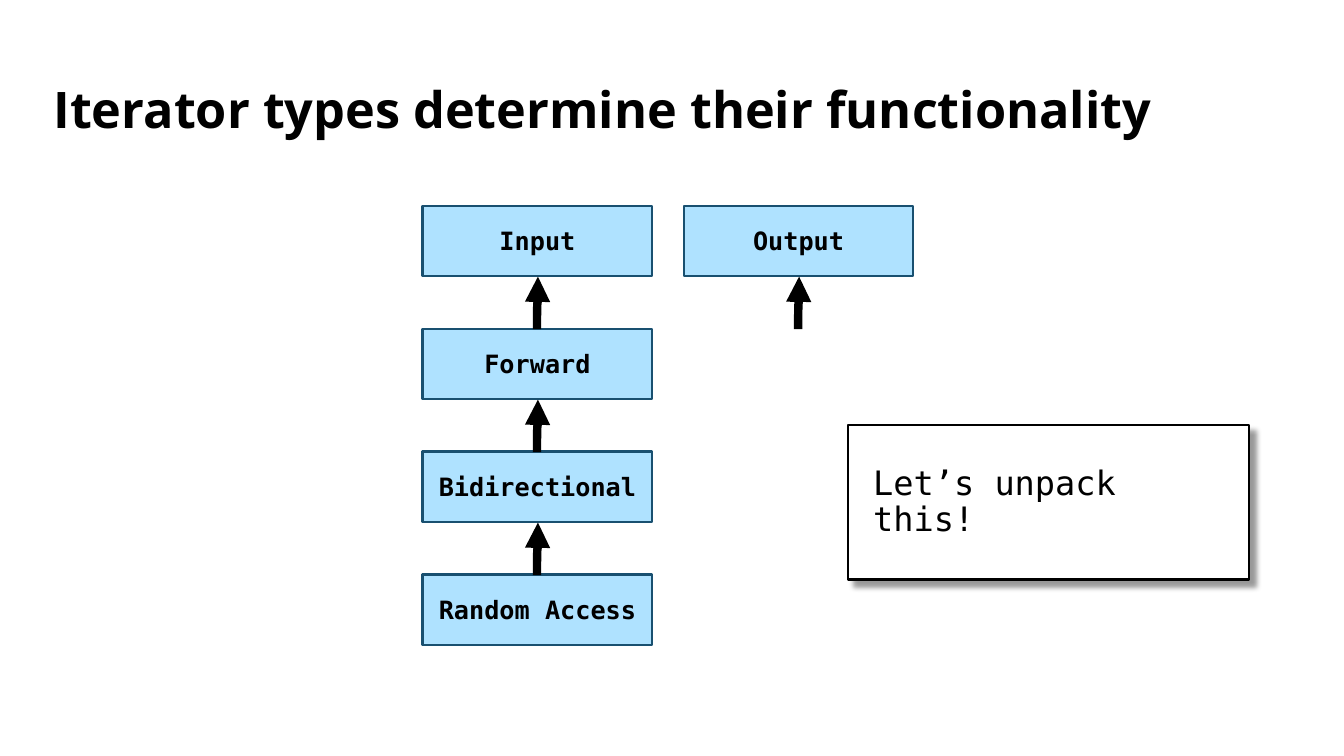
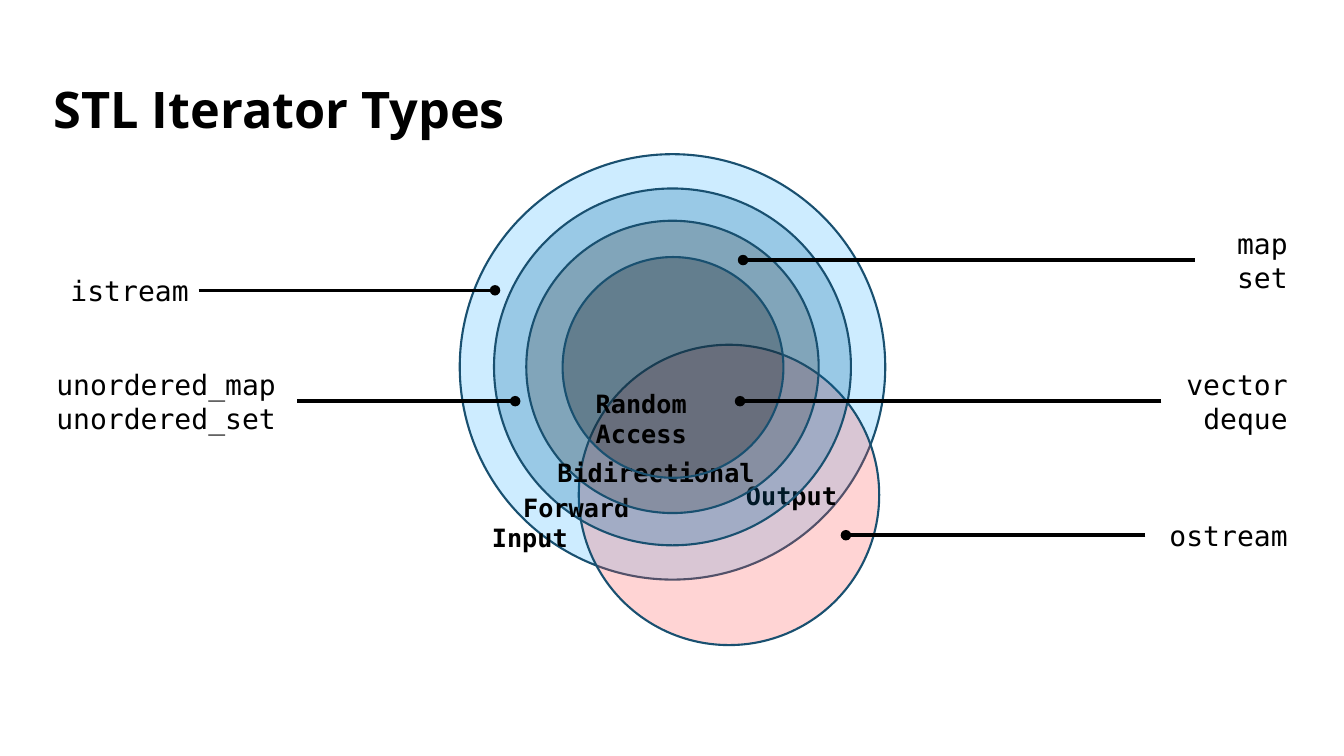
import dataclasses

import pptx
import pptx.dml.color
import pptx.enum.shapes
import pptx.enum.text
import pptx.oxml
import pptx.oxml.ns
import pptx.util

ALIGN = pptx.enum.text.PP_ALIGN
ANCHOR = pptx.enum.text.MSO_ANCHOR
SHAPE = pptx.enum.shapes.MSO_SHAPE
CONNECTOR = pptx.enum.shapes.MSO_CONNECTOR
EMU_PER_PX = 9144  # 100 px to the inch


@dataclasses.dataclass(frozen=True)
class Theme:
    title_font: str = "Open Sans"
    code_font: str = "DejaVu Sans Mono"
    title_size: int = 36
    note_size: int = 24
    callout_size: int = 20
    label_size: int = 18
    black: str = "000000"
    white: str = "FFFFFF"
    box_fill: str = "AFE2FF"
    outline: str = "195070"
    input_fill: str = "38B6FF"
    output_fill: str = "FF5757"
    forward_fill: str = "00629C"
    bidirectional_fill: str = "3A3A3A"
    random_fill: str = "0D0D0D"
    outline_width: float = 1.5
    callout_width: float = 2.5
    arrow_width: int = 6
    circle_opacity: int = 25


THEME = Theme()


def px(*lengths):
    return [pptx.util.Emu(length * EMU_PER_PX) for length in lengths]


def color(code):
    return pptx.dml.color.RGBColor.from_string(code)


def drawing_xml(markup):
    """Parse markup whose root element has the a: prefix."""
    tag, rest = markup[:-2].partition(" ")[::2]
    return pptx.oxml.parse_xml(f"{tag} {pptx.oxml.ns.nsdecls('a')} {rest}/>")


def write(shape, text, size, font=THEME.code_font, bold=False, align=ALIGN.LEFT,
          anchor=ANCHOR.TOP, spacing=None):
    frame = shape.text_frame
    frame.text = text
    frame.word_wrap = True
    frame.vertical_anchor = anchor
    for paragraph in frame.paragraphs:
        paragraph.alignment = align
        if spacing:
            paragraph.line_spacing = spacing
        for run in paragraph.runs:
            run.font.name = font
            run.font.size = pptx.util.Pt(size)
            run.font.bold = bold
            run.font.color.rgb = color(THEME.black)


def add_page(deck, title):
    page = deck.slides.add_slide(deck.slide_layouts.get_by_name("Title Only"))
    box = page.shapes.title
    box.left, box.top, box.width, box.height = px(43, 69, 1247, 84)
    write(box, title, THEME.title_size, THEME.title_font, bold=True,
          anchor=ANCHOR.MIDDLE, spacing=0.9)
    return page


def add_filled(shapes, kind, bounds, fill, outline=THEME.outline):
    shape = shapes.add_shape(kind, *px(*bounds))
    shape.shadow.inherit = False
    shape.fill.solid()
    shape.fill.fore_color.rgb = color(fill)
    shape.line.color.rgb = color(outline)
    shape.line.width = pptx.util.Pt(THEME.outline_width)
    return shape


def add_label(shapes, bounds, text, size, **style):
    write(shapes.add_textbox(*px(*bounds)), text, size, **style)


def add_line(page, kind, start, end, width, tip):
    line = page.shapes.add_connector(kind, *px(*start, *end))
    line.line.color.rgb = color(THEME.black)
    line.line.width = pptx.util.Pt(width)
    line.line._get_or_add_ln().append(drawing_xml(f'<a:tailEnd type="{tip}"/>'))
    line._element.spPr.append(drawing_xml("<a:effectLst/>"))
    return line


def add_up_arrow(page, center_x, top, length):
    """A curved connector lies flat, so it is turned a quarter to point up."""
    middle, half = top + length // 2, length // 2
    arrow = add_line(page, CONNECTOR.CURVE, (center_x + half, middle + 1),
                     (center_x - half, middle), THEME.arrow_width, "triangle")
    arrow._element.spPr.xfrm.set("rot", "5400000")


def add_note(page, bounds, text):
    note = add_filled(page.shapes, SHAPE.RECTANGLE, bounds, THEME.white, THEME.black)
    frame = note.text_frame
    frame.margin_left, frame.margin_top, frame.margin_right, frame.margin_bottom = px(
        25, 25, 25, 25)
    write(note, text, THEME.note_size, anchor=ANCHOR.MIDDLE, spacing=0.9)
    shadow = drawing_xml('<a:outerShdw blurRad="50800" dist="76200" dir="2700000" '
                         'algn="tl" rotWithShape="0"/>')
    tint = drawing_xml(f'<a:srgbClr val="{THEME.black}"/>')
    tint.append(drawing_xml('<a:alpha val="40000"/>'))
    shadow.append(tint)
    note._element.spPr.find(pptx.oxml.ns.qn("a:effectLst")).append(shadow)


def add_circle(shapes, center, diameter, label_side, fill, text, **style):
    def square(side):
        return center[0] - side // 2, center[1] - side // 2, side, side

    circle = add_filled(shapes, SHAPE.OVAL, square(diameter), fill)
    tint = circle._element.spPr.find(".//" + pptx.oxml.ns.qn("a:srgbClr"))
    tint.append(drawing_xml(f'<a:alpha val="{THEME.circle_opacity * 1000}"/>'))
    add_label(shapes, square(label_side), text, THEME.label_size, bold=True, **style)


def add_callout(page, text, width, middle, target_x, on_left=False, align=ALIGN.RIGHT):
    """Label at a slide margin, joined to a dot at target_x."""
    left_margin, right_margin = 46, 1287
    height = 11 + 33 * len(text.splitlines())
    left = left_margin if on_left else right_margin - width
    inner_edge = left + width if on_left else left
    add_line(page, CONNECTOR.STRAIGHT, (inner_edge, middle), (target_x, middle),
             THEME.callout_width, "oval")
    add_label(page.shapes, (left, middle - height // 2, width, height), text,
              THEME.callout_size, align=align)


def build_hierarchy(deck):
    page = add_page(deck, "Iterator types determine their functionality")
    top, pitch, width, height = 204, 122, 228, 70
    columns = (
        (419, ("Input", "Forward", "Bidirectional", "Random Access")),
        (678, ("Output",)),
    )
    for left, names in columns:
        for row, name in enumerate(names):
            box = add_filled(page.shapes, SHAPE.RECTANGLE,
                             (left, top + row * pitch, width, height), THEME.box_fill)
            write(box, name, THEME.label_size, bold=True, align=ALIGN.CENTER,
                  anchor=ANCHOR.MIDDLE)
    for left, names in columns:
        for row in range(max(1, len(names) - 1)):
            add_up_arrow(page, left + width // 2, top + row * pitch + height,
                         pitch - height)
    add_note(page, (841, 422, 398, 153), "Let’s unpack this!")


def build_venn(deck):
    page = add_page(deck, "STL Iterator Types")
    shapes = page.shapes.add_group_shape().shapes
    nested, output = (667, 364), (723, 491)
    low = {"anchor": ANCHOR.BOTTOM}
    side = {"anchor": ANCHOR.MIDDLE, "align": ALIGN.RIGHT}
    for center, diameter, label_side, fill, text, style in (
        (nested, 422, 378, THEME.input_fill, "Input", low),
        (output, 298, 233, THEME.output_fill, "Output", side),
        (nested, 354, 317, THEME.forward_fill, "Forward", low),
        (nested, 290, 249, THEME.bidirectional_fill, "Bidirectional", low),
        (nested, 219, 172, THEME.random_fill, "Random Access", low),
    ):
        add_circle(shapes, center, diameter, label_side, fill, text, **style)

    add_callout(page, "istream", 151, 288, 491, on_left=True)
    add_callout(page, "ostream", 151, 531, 839)
    add_callout(page, "unordered_map\nunordered_set", 249, 398, 511, on_left=True,
                align=ALIGN.LEFT)
    add_callout(page, "map\nset", 102, 258, 737)
    add_callout(page, "vector\ndeque", 135, 398, 734)


def main():
    deck = pptx.Presentation()
    deck.slide_width, deck.slide_height = px(1333, 750)
    build_hierarchy(deck)
    build_venn(deck)
    deck.save("out.pptx")


if __name__ == "__main__":
    main()
